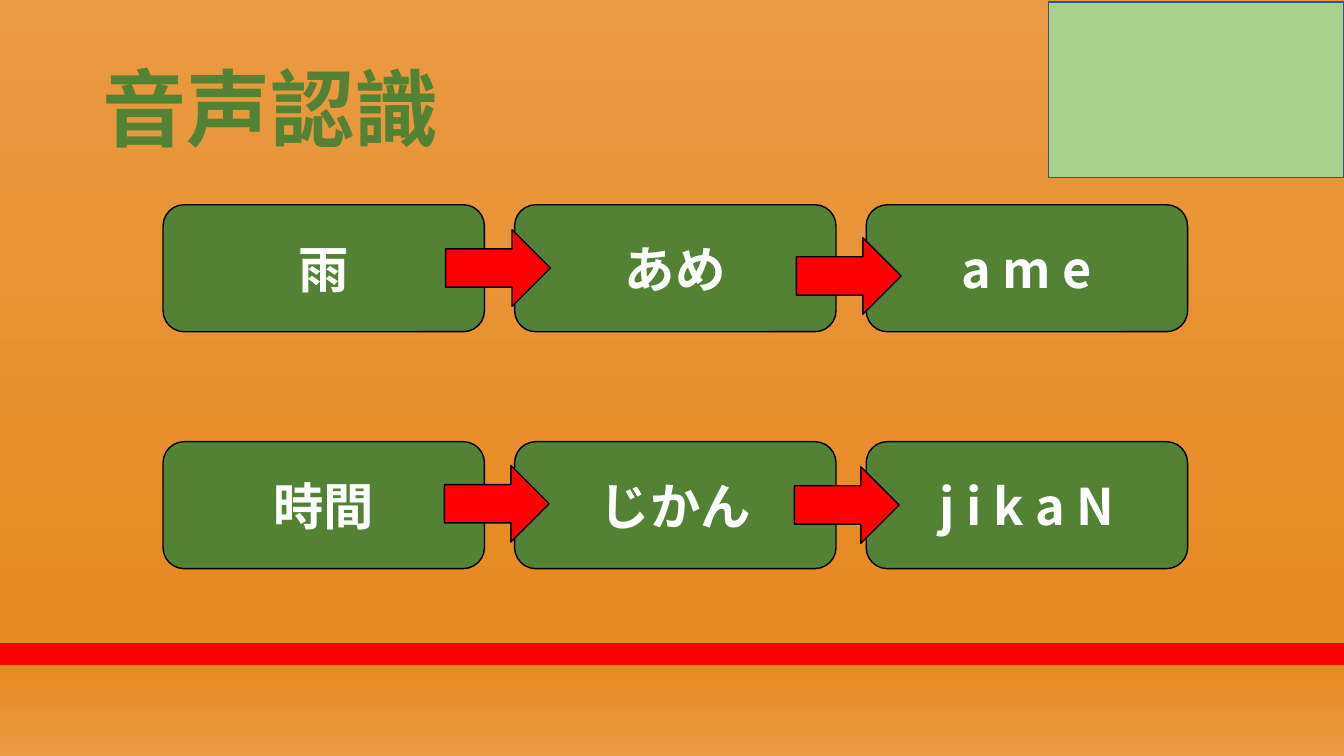
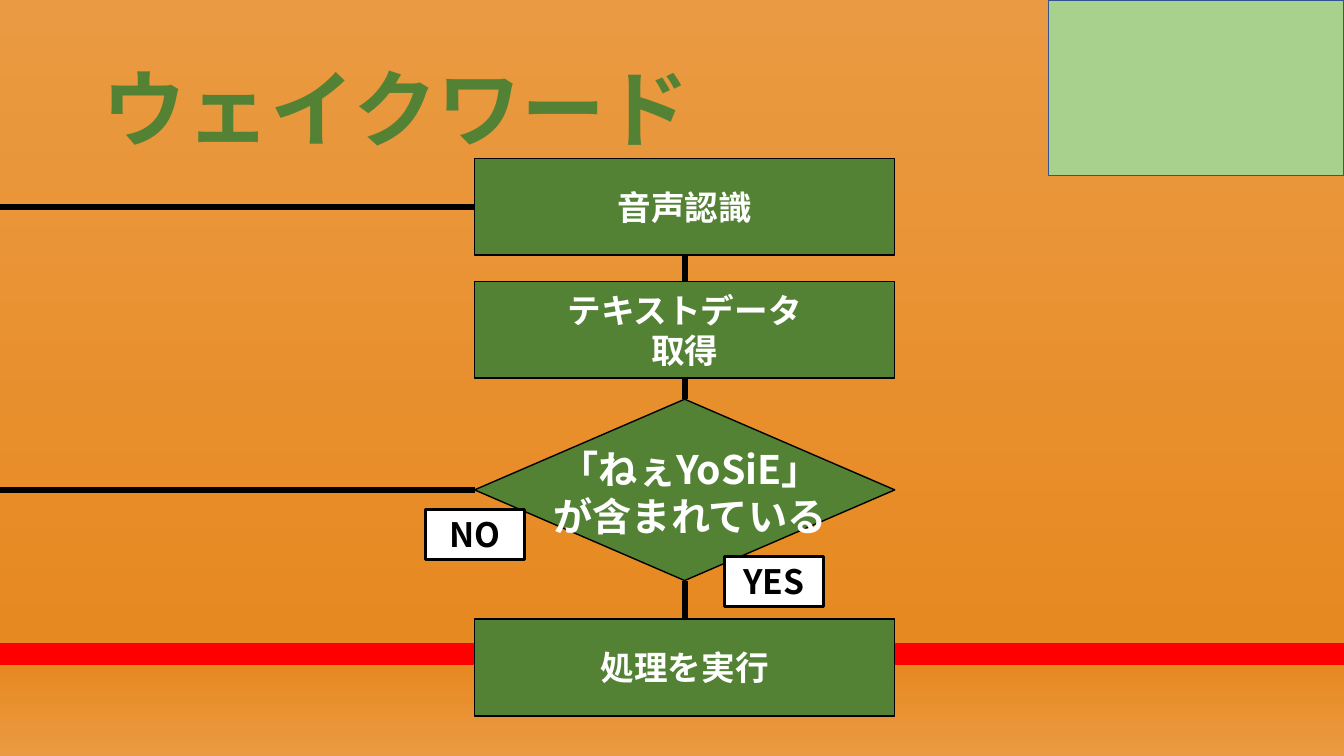
from itertools import pairwise

from lxml.etree import SubElement
from pptx import Presentation
from pptx.dml.color import RGBColor
from pptx.enum.shapes import MSO_CONNECTOR, MSO_SHAPE
from pptx.enum.text import MSO_ANCHOR, MSO_AUTO_SIZE, PP_ALIGN
from pptx.oxml.ns import qn
from pptx.util import Cm, Pt

COLORS = {
    "green": "548235",
    "light_green": "A9D18E",
    "navy": "325491",
    "red": "FF0000",
    "white": "FFFFFF",
    "black": "000000",
    "pale_orange": "EA9A42",
    "orange": "E78921",
}
BACKDROP = [(0, "pale_orange"), (85, "orange"), (85, "red"),
            (88, "red"), (88, "orange"), (100, "pale_orange")]
FONT = "Noto Sans CJK JP"
WIDTH, HEIGHT = 33.87, 19.05


def rgb(color):
    return RGBColor.from_string(COLORS[color])


def apply(target, values):
    for name, value in values.items():
        setattr(target, name, value)


class Deck:
    def __init__(self):
        self.prs = Presentation()
        apply(self.prs, {"slide_width": Cm(WIDTH), "slide_height": Cm(HEIGHT)})
        self.slide = None
        self.paint_master()

    def paint_master(self):
        master = self.prs.slide_master
        fill = master.background.fill
        fill.gradient()
        fill.gradient_angle = 270
        stops = master.element.find(".//" + qn("p:bg")).find(".//" + qn("a:gsLst"))
        for stop in list(stops):
            stops.remove(stop)
        for percent, color in BACKDROP:
            stop = SubElement(stops, qn("a:gs"), pos=str(percent * 1000))
            SubElement(stop, qn("a:srgbClr"), val=COLORS[color])

    def new_slide(self, heading, corner_top=0):
        self.slide = self.prs.slides.add_slide(self.prs.slide_layouts[6])
        self.title(heading)
        self.shape(MSO_SHAPE.RECTANGLE, 26.42, corner_top, WIDTH - 26.42, 4.42,
                   "light_green", "navy")

    def fill_text(self, frame, lines, size, color="white", align=PP_ALIGN.CENTER,
                  spacing=None, **layout):
        apply(frame, {"word_wrap": True, **layout})
        for index, line in enumerate(lines):
            paragraph = frame.add_paragraph() if index else frame.paragraphs[0]
            apply(paragraph, {"alignment": align, "line_spacing": spacing})
            run = paragraph.add_run()
            run.text = line
            run.font.color.rgb = rgb(color)
            apply(run.font, {"name": FONT, "size": Pt(size), "bold": True})
            SubElement(run.font._element, qn("a:ea"), typeface=FONT)

    def text(self, left, top, width, height, lines, size, **style):
        box = self.slide.shapes.add_textbox(Cm(left), Cm(top), Cm(width), Cm(height))
        self.fill_text(box.text_frame, lines, size, **style)
        return box

    def title(self, heading):
        box = self.text(2.34, 1.02, 29.21, 3.68, [heading], 60, color="green",
                        align=PP_ALIGN.LEFT, spacing=0.9,
                        vertical_anchor=MSO_ANCHOR.MIDDLE)
        properties = box.text_frame.paragraphs[0].runs[0].font._element
        outline = SubElement(properties, qn("a:ln"), w=str(Pt(0.75)))
        solid = SubElement(outline, qn("a:solidFill"))
        SubElement(solid, qn("a:srgbClr"), val=COLORS["black"])
        properties.insert(0, outline)

    def shape(self, kind, left, top, width, height, fill="green", line="black",
              weight=1):
        shape = self.slide.shapes.add_shape(
            kind, Cm(left), Cm(top), Cm(width), Cm(height))
        shape.shadow.inherit = False
        shape.fill.solid()
        shape.fill.fore_color.rgb = rgb(fill)
        shape.line.color.rgb = rgb(line)
        shape.line.width = Pt(weight)
        return shape

    def node(self, kind, left, top, width, height, lines, size):
        node = self.shape(kind, left, top, width, height)
        self.fill_text(node.text_frame, lines, size,
                       vertical_anchor=MSO_ANCHOR.MIDDLE)
        return node

    def answer(self, left, top, word):
        box = self.shape(MSO_SHAPE.RECTANGLE, left, top, 2.49, 1.27,
                         "white", "black", 2.25)
        self.fill_text(box.text_frame, [word], 24, color="black",
                       vertical_anchor=MSO_ANCHOR.TOP,
                       auto_size=MSO_AUTO_SIZE.SHAPE_TO_FIT_TEXT)

    def link(self, target, site, source=None, start=(0, 0)):
        link = self.slide.shapes.add_connector(MSO_CONNECTOR.STRAIGHT, *start, *start)
        if source is not None:
            link.begin_connect(source, 2)
        link.end_connect(target, site)
        link.line.color.rgb = rgb("black")
        link.line.width = Pt(4.5)
        SubElement(link._element.spPr, qn("a:effectLst"))


deck = Deck()

deck.new_slide("音声認識", corner_top=0.05)
readings = [["雨", "あめ", "a m e"], ["時間", "じかん", "j i k a N"]]
for row, words in enumerate(readings):
    for column, word in enumerate(words):
        deck.node(MSO_SHAPE.ROUNDED_RECTANGLE, 4.11 + 8.86 * column,
                  5.16 + 5.97 * row, 8.1, 3.2, [word], 36)
for left, top in [(11.23, 5.79), (20.02, 11.76), (11.2, 11.73), (20.07, 5.99)]:
    deck.shape(MSO_SHAPE.RIGHT_ARROW, left, top, 2.64, 1.93, "red")

deck.new_slide("ウェイクワード")
STEP_LEFT, STEP_WIDTH = 11.96, 10.59
steps = [
    deck.node(kind, STEP_LEFT, top, STEP_WIDTH, height, lines, 24)
    for kind, top, height, lines in [
        (MSO_SHAPE.FLOWCHART_PROCESS, 3.99, 2.44, ["音声認識"]),
        (MSO_SHAPE.FLOWCHART_PROCESS, 7.09, 2.44, ["テキストデータ", "取得"]),
        (MSO_SHAPE.FLOWCHART_DECISION, 10.06, 4.57, []),
        (MSO_SHAPE.FLOWCHART_PROCESS, 15.6, 2.44, ["処理を実行"]),
    ]
]
for previous, following in pairwise(steps):
    deck.link(following, 0, source=previous)
recognition, _, decision, _ = steps
for step in (recognition, decision):
    deck.link(step, 1, start=(0, step.top + step.height // 2))
deck.answer(18.26, 14.02, "YES")
deck.answer(10.72, 12.83, "NO")
deck.text(13.49, 11.1, 7.8, 2.64, ["「ねぇYoSiE」", "が含まれている"], 28,
          auto_size=MSO_AUTO_SIZE.SHAPE_TO_FIT_TEXT)

deck.prs.save("out.pptx")
